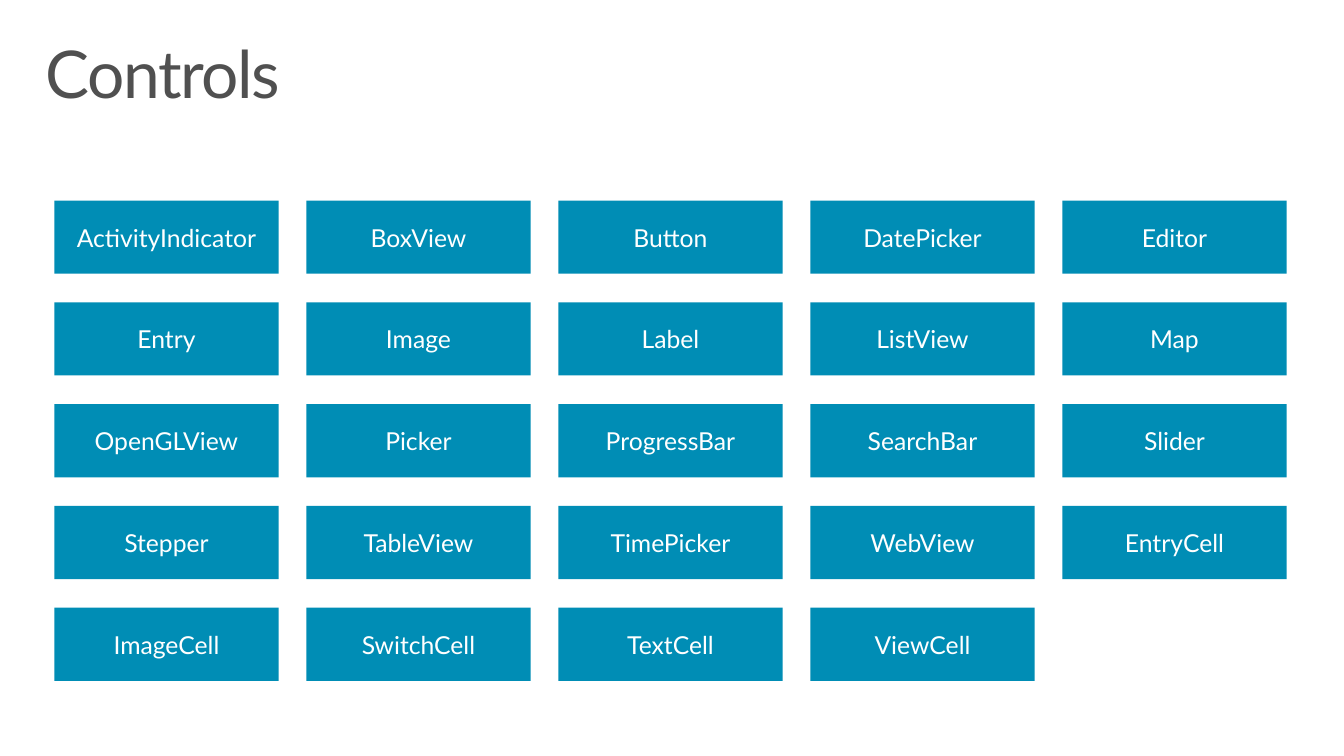
import pptx
import pptx.dml.color
import pptx.enum.shapes
import pptx.enum.text
import pptx.util

SLIDE_WIDTH, SLIDE_HEIGHT = 13.6, 7.65
GRID_LEFT, GRID_TOP = 0.55, 2.03
COLUMN_STEP, ROW_STEP = 2.55, 1.03
TILE_WIDTH, TILE_HEIGHT = 2.27, 0.74
FONT = "Lato"

CONTROL_ROWS = [
    ["ActivityIndicator", "BoxView", "Button", "DatePicker", "Editor"],
    ["Entry", "Image", "Label", "ListView", "Map"],
    ["OpenGLView", "Picker", "ProgressBar", "SearchBar", "Slider"],
    ["Stepper", "TableView", "TimePicker", "WebView", "EntryCell"],
    ["ImageCell", "SwitchCell", "TextCell", "ViewCell"],
]


def color(hex_string):
    return pptx.dml.color.RGBColor.from_string(hex_string)


def inches(*lengths):
    return [pptx.util.Inches(length) for length in lengths]


def write(shape, text, size, hex_string, alignment, anchor):
    """Put one formatted paragraph in a shape and return its run."""
    frame = shape.text_frame
    frame.text = text
    frame.word_wrap = True
    frame.auto_size = pptx.enum.text.MSO_AUTO_SIZE.NONE
    frame.vertical_anchor = anchor
    para = frame.paragraphs[0]
    para.alignment = alignment
    span = para.runs[0]
    span.font.name = FONT
    span.font.size = pptx.util.Pt(size)
    span.font.color.rgb = color(hex_string)
    return span


def add_title(page, text):
    title = page.shapes.title
    title.left, title.top, title.width, title.height = inches(0.3, 0.32, 13, 1)
    span = write(title, text, 48, "505050", pptx.enum.text.PP_ALIGN.LEFT,
                 pptx.enum.text.MSO_ANCHOR.TOP)
    span._r.get_or_add_rPr().set("spc", "-100")
    frame = title.text_frame
    frame.margin_left, frame.margin_right = inches(0.16, 0.16)
    frame.margin_top, frame.margin_bottom = inches(0.1, 0.1)
    frame.paragraphs[0].line_spacing = 0.9


def add_tile(page, column, row, name):
    tile = page.shapes.add_shape(
        pptx.enum.shapes.MSO_SHAPE.ROUNDED_RECTANGLE,
        *inches(GRID_LEFT + column * COLUMN_STEP, GRID_TOP + row * ROW_STEP,
                TILE_WIDTH, TILE_HEIGHT))
    tile.adjustments[0] = 0
    tile.shadow.inherit = False
    tile.fill.solid()
    tile.fill.fore_color.rgb = color("008DB5")
    tile.line.fill.background()
    write(tile, name, 18, "FFFFFF", pptx.enum.text.PP_ALIGN.CENTER,
          pptx.enum.text.MSO_ANCHOR.MIDDLE)


def main():
    deck = pptx.Presentation()
    deck.slide_width, deck.slide_height = inches(SLIDE_WIDTH, SLIDE_HEIGHT)
    title_only = deck.slide_layouts.get_by_name("Title Only")
    page = deck.slides.add_slide(title_only)
    add_title(page, "Controls")
    for row, names in enumerate(CONTROL_ROWS):
        for column, name in enumerate(names):
            add_tile(page, column, row, name)
    deck.save("out.pptx")


if __name__ == "__main__":
    main()
